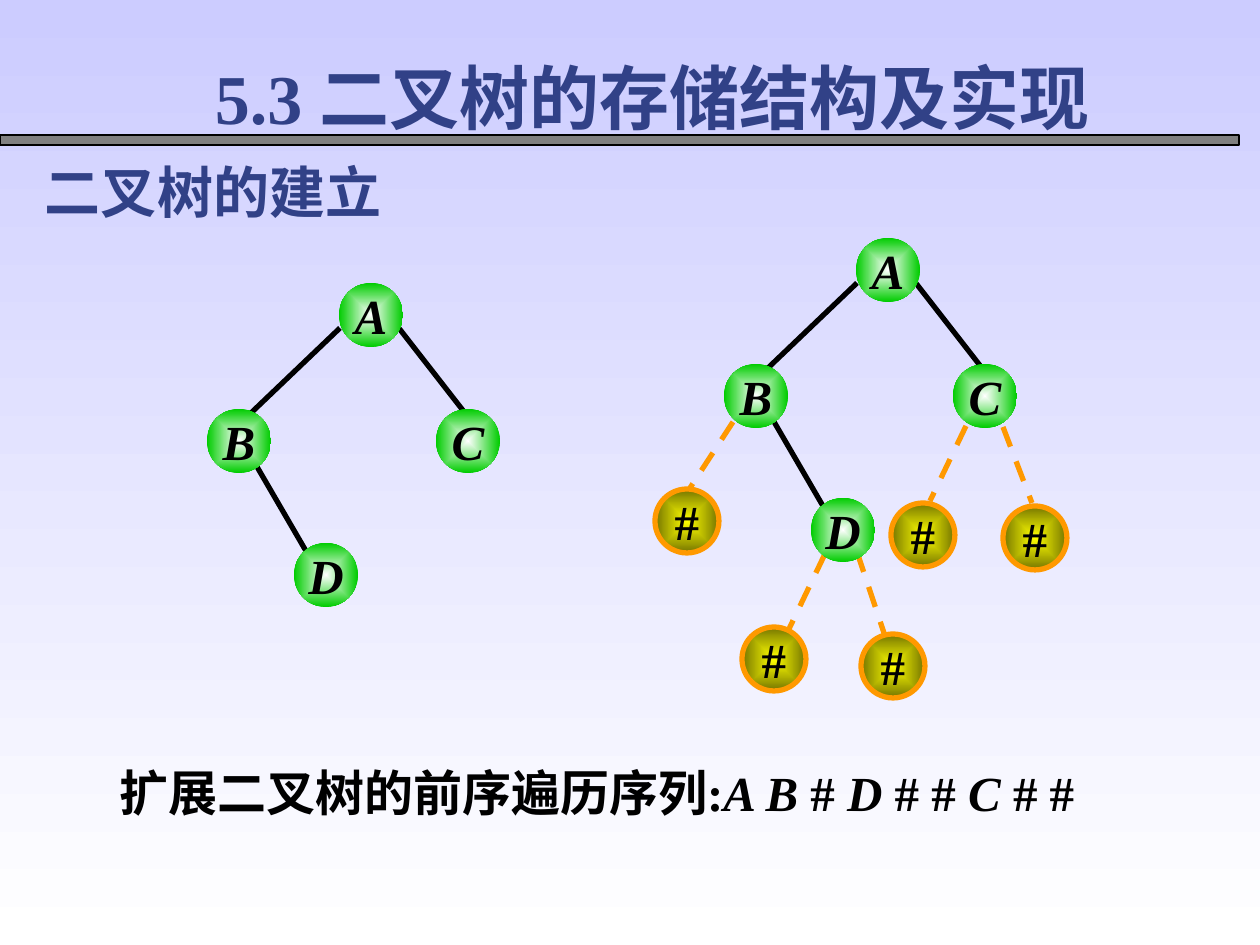
from lxml import etree
from pptx import Presentation
from pptx.dml.color import RGBColor
from pptx.enum.dml import MSO_LINE
from pptx.enum.shapes import MSO_CONNECTOR, MSO_SHAPE
from pptx.enum.text import MSO_ANCHOR, PP_ALIGN
from pptx.oxml.ns import qn
from pptx.util import Pt

RECTANGLE, OVAL = MSO_SHAPE.RECTANGLE, MSO_SHAPE.OVAL
STRAIGHT, DASH = MSO_CONNECTOR.STRAIGHT, MSO_LINE.DASH
TOP, MIDDLE = MSO_ANCHOR.TOP, MSO_ANCHOR.MIDDLE
LEFT, CENTER, JUSTIFY = PP_ALIGN.LEFT, PP_ALIGN.CENTER, PP_ALIGN.JUSTIFY

SCALE = 914400 / 126
LATIN, CJK = "Times New Roman", "Noto Sans CJK SC"
BLACK, NAVY, ORANGE = "000000", "314187", "FF9900"
GREEN_SHADES, OLIVE_SHADES = ("FFFFFF", "00CC00"), ("FFFF00", "757500")
NODE = 64

TITLE = "5.3 二叉树的存储结构及实现"
SUBTITLE = "二叉树的建立"
SEQUENCE = [
    ("扩展二叉树的前序遍历序列:", False), ("A B ", True), ("# ", False),
    ("D ", True), ("# # ", False), ("C ", True), ("# #", False),
]
TREE_NODES = [("D", 294, 543), ("B", 207, 409), ("A", 339, 283), ("C", 436, 409)]
TREE_EDGES = [(340, 328, 251, 413), (256, 465, 306, 551), (398, 327, 465, 413)]
TREE_OFFSETS = [(0, 0), (517, -45)]
EMPTY_NODES = [(655, 489), (742, 627), (861, 634), (891, 503), (1003, 506)]
EMPTY_EDGES = [
    (733, 422, 690, 488), (825, 554, 789, 629), (857, 552, 885, 636),
    (966, 426, 930, 501), (1003, 427, 1032, 503),
]


def px(*lengths):
    return [round(length * SCALE) for length in lengths]


def color(code):
    return RGBColor.from_string(code)


def shade(fill, colors):
    fill.gradient()
    for stop, code in zip(fill.gradient_stops, colors):
        stop.color.rgb = color(code)


def shade_from_center(shape, colors):
    shade(shape.fill, colors)
    linear = next(shape._element.iter(qn("a:lin")))
    center = etree.Element(qn("a:path"), path="rect")
    etree.SubElement(center, qn("a:fillToRect"), l="50000", t="50000", r="50000", b="50000")
    linear.getparent().replace(linear, center)


def write(box, spans, size=28, code=BLACK, font=LATIN, align=LEFT, anchor=TOP,
          margins=(0, 0), wrap=True):
    frame = box.text_frame
    frame.word_wrap = wrap
    frame.vertical_anchor = anchor
    frame.margin_left = frame.margin_right = px(margins[0])[0]
    frame.margin_top = frame.margin_bottom = px(margins[1])[0]
    para = frame.paragraphs[0]
    para.alignment = align
    for text, italic in spans:
        span = para.add_run()
        span.text = text
        span.font.size = Pt(size)
        span.font.bold = True
        span.font.italic = italic
        span.font.color.rgb = color(code)
        span.font.name = font
        etree.SubElement(span.font._element, qn("a:ea"), typeface=CJK)


def add_text(page, place, spans, **style):
    write(page.shapes.add_textbox(*px(*place)), spans, **style)


def add_edge(page, ends, code=BLACK, dash=None):
    edge = page.shapes.add_connector(STRAIGHT, *px(*ends))
    edge.line.color.rgb = color(code)
    edge.line.width = Pt(3)
    edge.line.dash_style = dash
    etree.SubElement(edge._element.spPr, qn("a:effectLst"))


def add_node(page, left, top, label, shades, outline=None, italic=True):
    node = page.shapes.add_shape(OVAL, *px(left, top, NODE, NODE))
    node.shadow.inherit = False
    shade_from_center(node, shades)
    if outline:
        node.line.color.rgb = color(outline)
        node.line.width = Pt(3)
    else:
        node.line.fill.background()
    write(node, [(label, italic)], align=CENTER, anchor=MIDDLE, wrap=False)


def add_rule(page):
    rule = page.shapes.add_shape(RECTANGLE, *px(0, 135, 1239, 10))
    rule.shadow.inherit = False
    rule.fill.solid()
    rule.fill.fore_color.rgb = color("808080")
    rule.line.color.rgb = color(BLACK)
    rule.line.width = Pt(0.75)


def main():
    """Build the slide on creating a binary tree."""
    deck = Presentation()
    deck.slide_width, deck.slide_height = px(1260, 945)
    page = deck.slides.add_slide(deck.slide_layouts[6])
    shade(page.background.fill, ("CCCCFF", "FFFFFF"))
    page.background.fill.gradient_angle = 270

    add_rule(page)
    add_text(page, (107, 762, 1079, 94), SEQUENCE, align=JUSTIFY, margins=(13, 0))
    add_text(page, (202, 48, 971, 97), [(TITLE, False)], size=40, code=NAVY,
             align=JUSTIFY, margins=(13, 6))
    add_text(page, (32, 151, 735, 81), [(SUBTITLE, False)], size=32, code=NAVY,
             font=CJK, margins=(13, 6))

    for ends in EMPTY_EDGES:
        add_edge(page, ends, ORANGE, DASH)
    for right, down in TREE_OFFSETS:
        for x1, y1, x2, y2 in TREE_EDGES:
            add_edge(page, (x1 + right, y1 + down, x2 + right, y2 + down))
        for label, left, top in TREE_NODES:
            add_node(page, left + right, top + down, label, GREEN_SHADES)
    for left, top in EMPTY_NODES:
        add_node(page, left, top, "#", OLIVE_SHADES, ORANGE, italic=False)

    deck.save("out.pptx")


if __name__ == "__main__":
    main()
